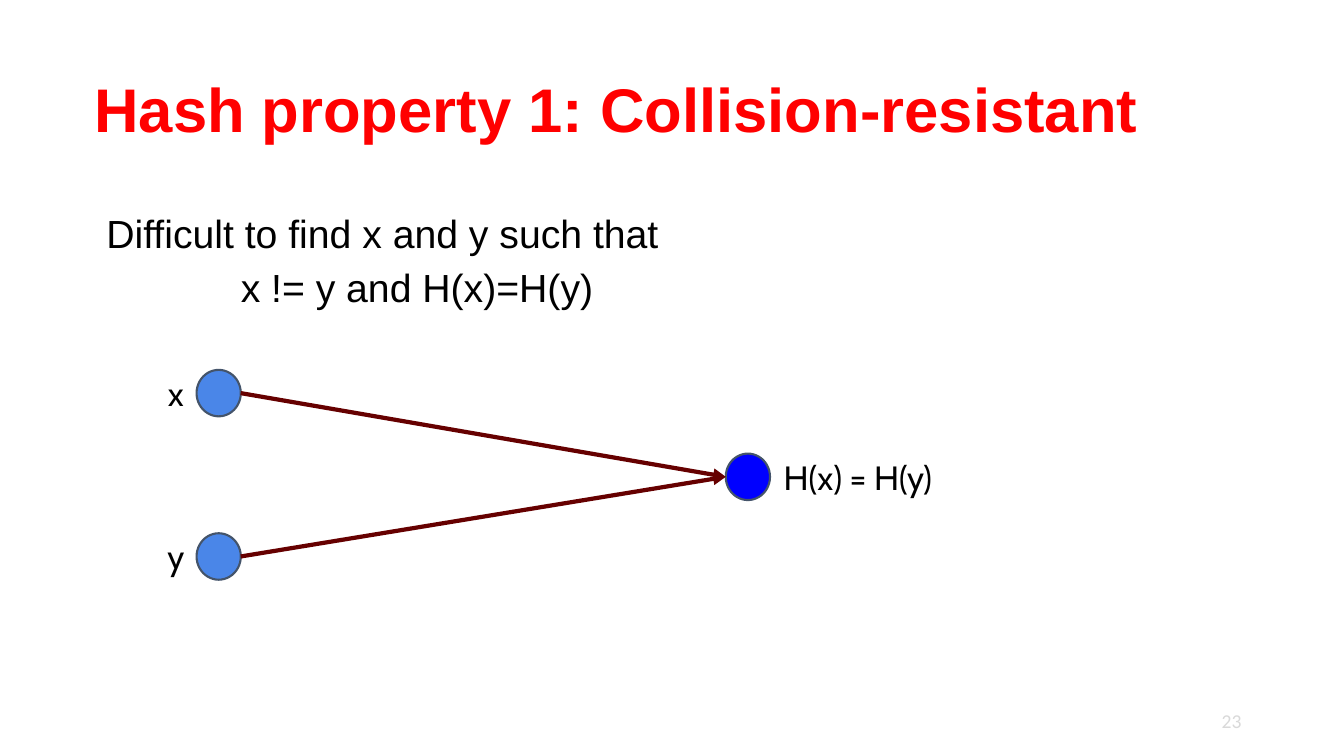
from lxml import etree
from pptx import Presentation
from pptx.dml.color import RGBColor
from pptx.enum.shapes import MSO_CONNECTOR, MSO_SHAPE
from pptx.enum.text import MSO_ANCHOR, PP_ALIGN
from pptx.oxml.ns import qn
from pptx.util import Pt

STRAIGHT = MSO_CONNECTOR.STRAIGHT
OVAL = MSO_SHAPE.OVAL
TOP, MIDDLE, BOTTOM = MSO_ANCHOR.TOP, MSO_ANCHOR.MIDDLE, MSO_ANCHOR.BOTTOM
LEFT, CENTER, RIGHT = PP_ALIGN.LEFT, PP_ALIGN.CENTER, PP_ALIGN.RIGHT

RED = RGBColor(0xFF, 0x00, 0x00)
BLACK = RGBColor(0x00, 0x00, 0x00)
GREY = RGBColor(0xD9, 0xD9, 0xD9)
INPUT_BLUE = RGBColor(0x4A, 0x86, 0xE8)
HASH_BLUE = RGBColor(0x00, 0x00, 0xFF)
SLATE = RGBColor(0x44, 0x54, 0x6A)
MAROON = RGBColor(0x66, 0x00, 0x00)

NODE_WIDTH, NODE_HEIGHT = 31.6, 33.2
INPUT_LEFT = 140.4
HASH_LEFT, HASH_TOP = 518.4, 324

presentation = Presentation()
presentation.slide_width = Pt(960)
presentation.slide_height = Pt(540)
slide = presentation.slides.add_slide(presentation.slide_layouts[6])


def add_text(box, lines, font_name, size, color, align=LEFT, anchor=TOP,
             margins=(9.6, 9.6), bold=False, line_spacing=1.0):
    """Add a text box at box; margins are (horizontal, vertical)."""
    shape = slide.shapes.add_textbox(*[Pt(length) for length in box])
    frame = shape.text_frame
    frame.word_wrap = True
    frame.vertical_anchor = anchor
    frame.margin_left = frame.margin_right = Pt(margins[0])
    frame.margin_top = frame.margin_bottom = Pt(margins[1])
    for index, line in enumerate(lines):
        paragraph = frame.add_paragraph() if index else frame.paragraphs[0]
        paragraph.alignment = align
        paragraph.line_spacing = line_spacing
        run = paragraph.add_run()
        run.text = line
        run.font.name = font_name
        run.font.size = Pt(size)
        run.font.bold = bold
        run.font.color.rgb = color
    return frame


def add_node(left, top, color):
    node = slide.shapes.add_shape(OVAL, Pt(left), Pt(top), Pt(NODE_WIDTH), Pt(NODE_HEIGHT))
    node.shadow.inherit = False
    node.fill.solid()
    node.fill.fore_color.rgb = color
    node.line.color.rgb = SLATE
    node.line.width = Pt(1.5)


# Title and statement
add_text((48, 21.6, 864, 90), ["Hash property 1: Collision-resistant"], "Arial", 44, RED,
         anchor=BOTTOM, margins=(19.4, 7.2), bold=True, line_spacing=0.9)
statement = add_text((66.4, 144, 828, 342.7),
                     ["Difficult to find x and y such that", "x != y and H(x)=H(y)"],
                     "Arial", 28, BLACK, line_spacing=0.9)
condition = statement.paragraphs[1]
condition.space_before = Pt(8)
condition._p.get_or_add_pPr().set("marL", str(Pt(96)))

# Two inputs that lead to the same hash
add_node(HASH_LEFT, HASH_TOP, HASH_BLUE)
add_text((539.3, 316.8, 146.9, 48), ["H(x) = H(y)"], "Cabin", 24, BLACK, align=CENTER)

for name, top in (("x", 264.2), ("y", 380.9)):
    add_node(INPUT_LEFT, top, INPUT_BLUE)
    add_text((104.4, top - 7.4, 42.5, 48), [name], "Cabin", 24, BLACK, align=CENTER)
    arrow = slide.shapes.add_connector(
        STRAIGHT, Pt(INPUT_LEFT + NODE_WIDTH), Pt(top + NODE_HEIGHT / 2),
        Pt(HASH_LEFT), Pt(HASH_TOP + NODE_HEIGHT / 2))
    arrow.line.color.rgb = MAROON
    arrow.line.width = Pt(3)
    etree.SubElement(arrow.line._get_or_add_ln(), qn("a:tailEnd"), type="triangle")
    etree.SubElement(arrow._element.spPr, qn("a:effectLst"))

# Slide number
add_text((678, 500.5, 216, 28.8), ["23"], "Calibri", 14, GREY,
         align=RIGHT, anchor=MIDDLE, margins=(7.2, 3.6))

presentation.save("out.pptx")
